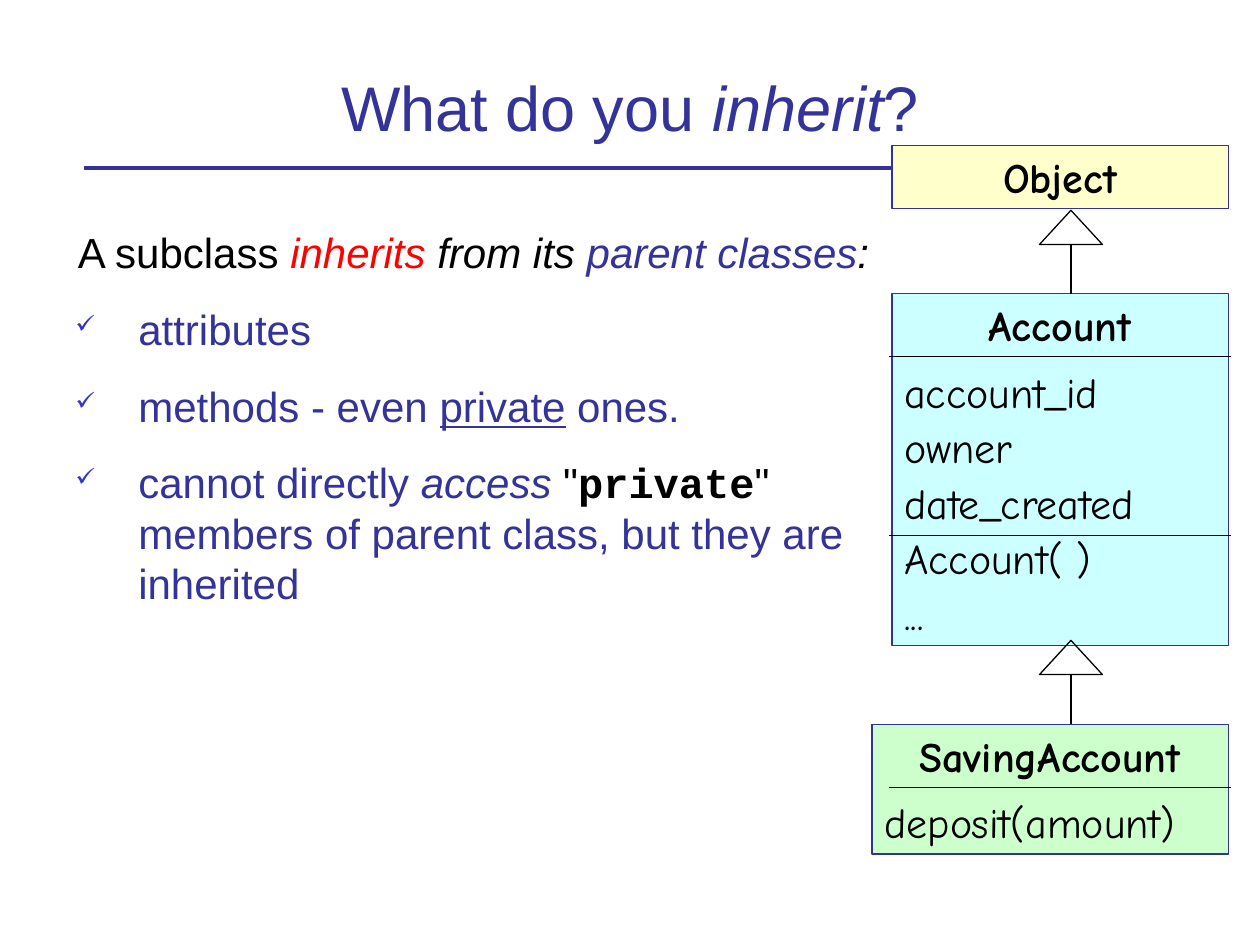
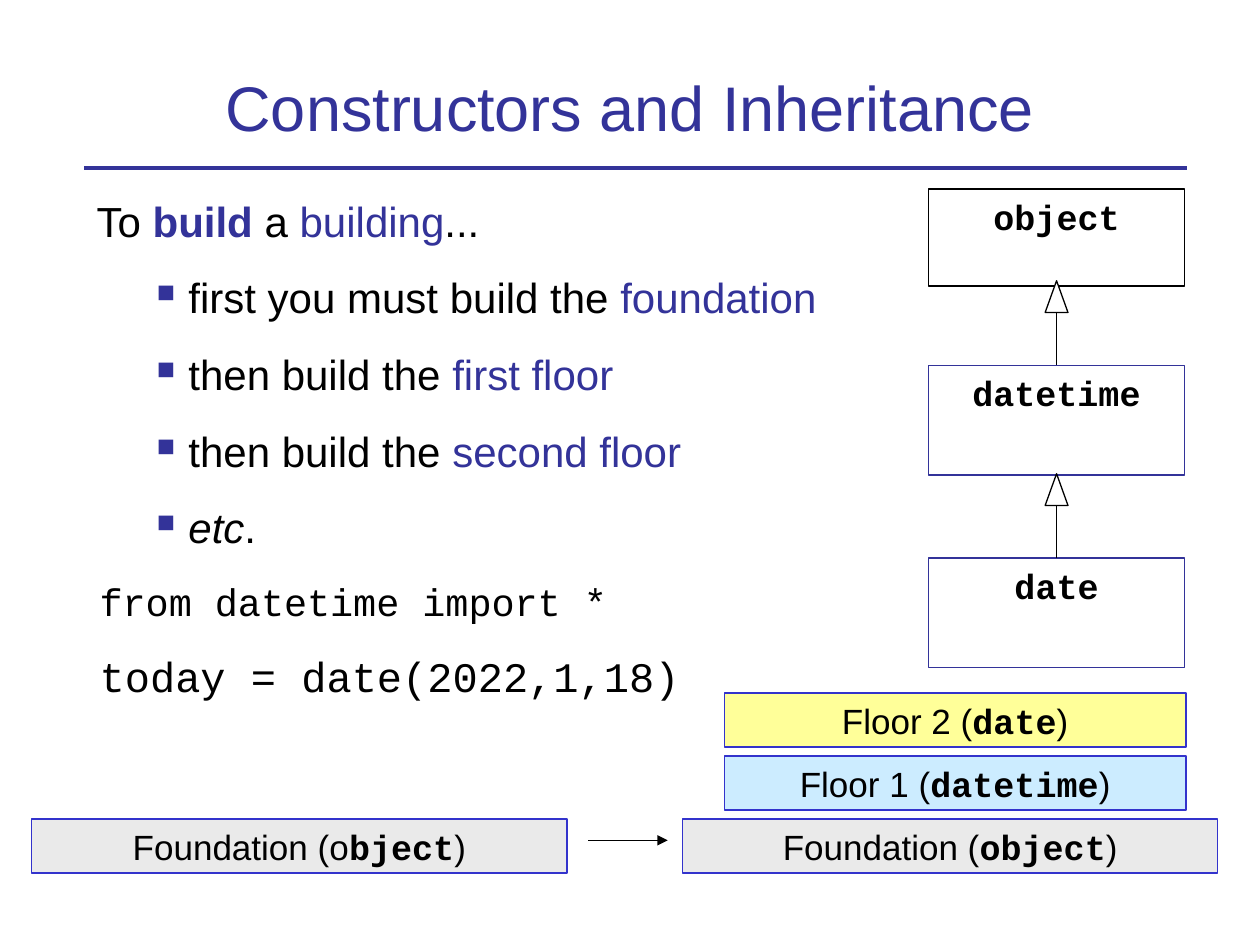
"""Build two slides about inheritance, with class diagrams, in out.pptx."""
from lxml import etree
from pptx import Presentation
from pptx.dml.color import RGBColor
from pptx.enum.shapes import MSO_CONNECTOR, MSO_SHAPE
from pptx.enum.text import MSO_ANCHOR, MSO_AUTO_SIZE, PP_ALIGN
from pptx.oxml.ns import qn
from pptx.util import Cm, Pt

STRAIGHT = MSO_CONNECTOR.STRAIGHT
RECTANGLE, TRIANGLE = MSO_SHAPE.RECTANGLE, MSO_SHAPE.ISOSCELES_TRIANGLE
TOP, BOTTOM = MSO_ANCHOR.TOP, MSO_ANCHOR.BOTTOM
LEFT, CENTER = PP_ALIGN.LEFT, PP_ALIGN.CENTER
NO_AUTOFIT = MSO_AUTO_SIZE.NONE

BLACK = RGBColor(0x00, 0x00, 0x00)
WHITE = RGBColor(0xFF, 0xFF, 0xFF)
RED = RGBColor(0xFF, 0x00, 0x00)
NAVY = RGBColor(0x33, 0x33, 0x99)
BLUE = RGBColor(0x33, 0x33, 0xCC)
CREAM = RGBColor(0xFF, 0xFF, 0xCC)
CYAN = RGBColor(0xCC, 0xFF, 0xFF)
GREEN = RGBColor(0xCC, 0xFF, 0xCC)
GREY = RGBColor(0xEA, 0xEA, 0xEA)
SKY = RGBColor(0xCC, 0xEC, 0xFF)
YELLOW = RGBColor(0xFF, 0xFF, 0x99)

SANS, HAND, CODE = "Arial", "Comic Neue", "Courier New"
THIN, MEDIUM, THICK = 0.75, 1, 2.25

PLAIN = {"font": SANS, "size": 24, "color": BLACK}
ACCENT = PLAIN | {"color": NAVY}
ITALIC = PLAIN | {"italic": True}
TITLE = ACCENT | {"size": 36}
MEMBER = PLAIN | {"font": HAND}
CLASS_NAME = MEMBER | {"bold": True}
LABEL = PLAIN | {"size": 20}
CODE_LABEL = LABEL | {"font": CODE, "bold": True}
LISTING = PLAIN | {"font": CODE}

LEAD = {"margin": 1.27, "indent": -1.22}
CHECK = {"margin": 1.27, "indent": -1.27, "bullet": "✓", "bullet_color": BLUE}
SQUARE = {"margin": 1.85, "indent": -0.64, "bullet": "■", "bullet_color": NAVY}
HANGING = {"margin": 0.64, "indent": -0.58}
CENTERED = {"align": CENTER}
FIRST_MEMBER = {"before": 9}
NEXT_MEMBER = {"before": 3}

INHERIT_TITLE = [("What do you ", TITLE), ("inherit", TITLE | {"italic": True}), ("?", TITLE)]
INHERIT_BODY = [
    (LEAD, [("A subclass ", PLAIN), ("inherits", ITALIC | {"color": RED}), (" from its ", ITALIC),
            ("parent classes", ITALIC | {"color": NAVY}), (":", ITALIC)]),
    (CHECK, [("attributes", ACCENT)]),
    (CHECK, [("methods - even ", ACCENT), ("private", ACCENT | {"underline": True}), (" ones.", ACCENT)]),
    (CHECK, [("cannot directly ", ACCENT), ("access ", ACCENT | {"italic": True}), ('"', PLAIN),
             ("private", LISTING | {"bold": True}), ('"', PLAIN),
             (" members of parent class, but they are inherited", ACCENT)]),
]
CLASSES = [
    ("Object", [], (17.98, 2.93, 6.78, 1.27), CREAM),
    ("Account", ["account_id", "owner", "date_created", "Account( )", "..."], (17.98, 5.92, 6.78, 7.09), CYAN),
    ("SavingAccount", ["deposit(amount)"], (17.58, 14.6, 7.18, 2.62), GREEN),
]
DIVIDER_LEFT, DIVIDER_RIGHT = 17.93, 24.82
DIVIDERS = [7.19, 10.8, 15.88]
CLASS_ARROW_TIPS = [4.24, 12.91]

CONSTRUCTOR_TITLE = [("Constructors and Inheritance", TITLE)]
CONSTRUCTOR_BODY = [
    ({}, [("To ", PLAIN), ("build", ACCENT | {"bold": True}), (" a ", PLAIN), ("building", ACCENT), ("...", PLAIN)]),
    (SQUARE, [("first you must build the ", PLAIN), ("foundation", ACCENT)]),
    (SQUARE, [("then build the ", PLAIN), ("first floor", ACCENT)]),
    (SQUARE, [("then build the ", PLAIN), ("second floor", ACCENT)]),
    (SQUARE, [("etc", ITALIC), (".", PLAIN)]),
    (HANGING, [("from datetime import *", LISTING | {"size": 22})]),
    (HANGING, [("today = date(2022,1,18)", LISTING)]),
]
LIBRARY_CLASSES = [
    ("object", 3.81, 1.96, BLACK, THIN),
    ("datetime", 7.37, 2.21, NAVY, MEDIUM),
    ("date", 11.25, 2.21, NAVY, MEDIUM),
]
LIBRARY_ARROW_TIPS = [5.66, 9.55]
STOREYS = [
    ("Foundation (o", "bject", 0.64, 10.79, 0, GREY),
    ("Foundation (", "object", 13.76, 10.79, 0, GREY),
    ("Floor 1 (", "datetime", 14.6, 9.31, 1, SKY),
    ("Floor 2 (", "date", 14.6, 9.31, 2, YELLOW),
]
GROUND, STOREY_STEP, STOREY_HEIGHT = 16.51, 1.27, 1.09


def add_runs(paragraph, runs):
    for text, style in runs:
        run = paragraph.add_run()
        run.text = text
        font = run.font
        font.name, font.size = style["font"], Pt(style["size"])
        font.color.rgb = style["color"]
        font.bold = style.get("bold", False)
        font.italic = style.get("italic", False)
        font.underline = style.get("underline", False)


def format_paragraph(paragraph, layout):
    paragraph.alignment = layout.get("align", LEFT)
    paragraph.space_before = Pt(layout.get("before", 15))
    properties = paragraph._p.get_or_add_pPr()
    properties.set("marL", str(Cm(layout.get("margin", 0))))
    properties.set("indent", str(Cm(layout.get("indent", 0))))
    if "bullet" in layout:
        color = etree.SubElement(properties, qn("a:buClr"))
        etree.SubElement(color, qn("a:srgbClr"), val=str(layout["bullet_color"]))
        etree.SubElement(properties, qn("a:buSzPct"), val="60000")
        etree.SubElement(properties, qn("a:buChar"), char=layout["bullet"])
    else:
        etree.SubElement(properties, qn("a:buNone"))


def fill_text(shape, paragraphs):
    frame = shape.text_frame
    frame.word_wrap = True
    frame.vertical_anchor = TOP
    for index, (layout, runs) in enumerate(paragraphs):
        paragraph = frame.add_paragraph() if index else frame.paragraphs[0]
        format_paragraph(paragraph, layout)
        add_runs(paragraph, runs)


def add_body(slide, box, paragraphs):
    fill_text(slide.shapes.add_textbox(*map(Cm, box)), paragraphs)


def add_outline(slide, kind, box, fill=None, line=BLACK, width=THIN):
    shape = slide.shapes.add_shape(kind, *map(Cm, box))
    shape.shadow.inherit = False
    if fill is None:
        shape.fill.background()
    else:
        shape.fill.solid()
        shape.fill.fore_color.rgb = fill
    shape.line.color.rgb = line
    shape.line.width = Pt(width)
    return shape


def add_line(slide, ends, color=BLACK, width=THIN, arrowhead=False):
    connector = slide.shapes.add_connector(STRAIGHT, *map(Cm, ends))
    connector.line.color.rgb = color
    connector.line.width = Pt(width)
    if arrowhead:
        etree.SubElement(connector.line._get_or_add_ln(), qn("a:tailEnd"), type="triangle")
    etree.SubElement(connector.element.spPr, qn("a:effectLst"))
    return connector


def add_inheritance_arrow(slide, center, tip, width, height, length, fill=None):
    add_outline(slide, TRIANGLE, (center - width / 2, tip, width, height), fill)
    add_line(slide, (center, tip + height, center, tip + length))


def add_titled_slide(presentation, layout, runs):
    slide = presentation.slides.add_slide(layout)
    title = slide.shapes.title
    title.left, title.top, title.width, title.height = map(Cm, (1.7, 0.64, 22, 2.39))
    frame = title.text_frame
    frame.auto_size = NO_AUTOFIT
    frame.word_wrap = True
    frame.vertical_anchor = BOTTOM
    frame.paragraphs[0].alignment = CENTER
    add_runs(frame.paragraphs[0], runs)
    return slide


def add_layout_rule(slide, layout):
    rule = add_line(slide, (1.7, 3.39, 23.93, 3.39), NAVY, THICK)
    rule.element.nvCxnSpPr.cNvPr.id = 99
    layout.shapes.element.append(rule.element)


def build_inherit_slide(slide):
    add_body(slide, (1.27, 4.45, 16.54, 7.24), INHERIT_BODY)
    for name, members, box, fill in CLASSES:
        shape = add_outline(slide, RECTANGLE, box, fill, NAVY)
        rows = [(NEXT_MEMBER if index else FIRST_MEMBER, [(member, MEMBER)])
                for index, member in enumerate(members)]
        fill_text(shape, [(CENTERED, [(name, CLASS_NAME)])] + rows)
    for height in DIVIDERS:
        add_line(slide, (DIVIDER_LEFT, height, DIVIDER_RIGHT, height))
    for tip in CLASS_ARROW_TIPS:
        add_inheritance_arrow(slide, 21.59, tip, 1.27, 0.69, 1.69)


def build_constructor_slide(slide):
    add_body(slide, (1.7, 3.81, 16.84, 14.38), CONSTRUCTOR_BODY)
    for opening, name, left, width, level, fill in STOREYS:
        box = (left, GROUND - level * STOREY_STEP, width, STOREY_HEIGHT)
        shape = add_outline(slide, RECTANGLE, box, fill, BLUE)
        fill_text(shape, [(CENTERED, [(opening, LABEL), (name, CODE_LABEL), (")", LABEL)])])
    add_line(slide, (11.86, 16.94, 13.46, 16.94), arrowhead=True)
    for name, top, height, color, width in LIBRARY_CLASSES:
        shape = add_outline(slide, RECTANGLE, (18.72, top, 5.16, height), None, color, width)
        fill_text(shape, [(CENTERED, [(name, CODE_LABEL)])])
    for tip in LIBRARY_ARROW_TIPS:
        add_inheritance_arrow(slide, 21.3, tip, 0.46, 0.64, 1.7, WHITE)


presentation = Presentation()
presentation.slide_width, presentation.slide_height = Cm(25.4), Cm(19.05)
title_only = presentation.slide_layouts[5]
inherit_slide = add_titled_slide(presentation, title_only, INHERIT_TITLE)
add_layout_rule(inherit_slide, title_only)
build_inherit_slide(inherit_slide)
build_constructor_slide(add_titled_slide(presentation, title_only, CONSTRUCTOR_TITLE))
presentation.save("out.pptx")
